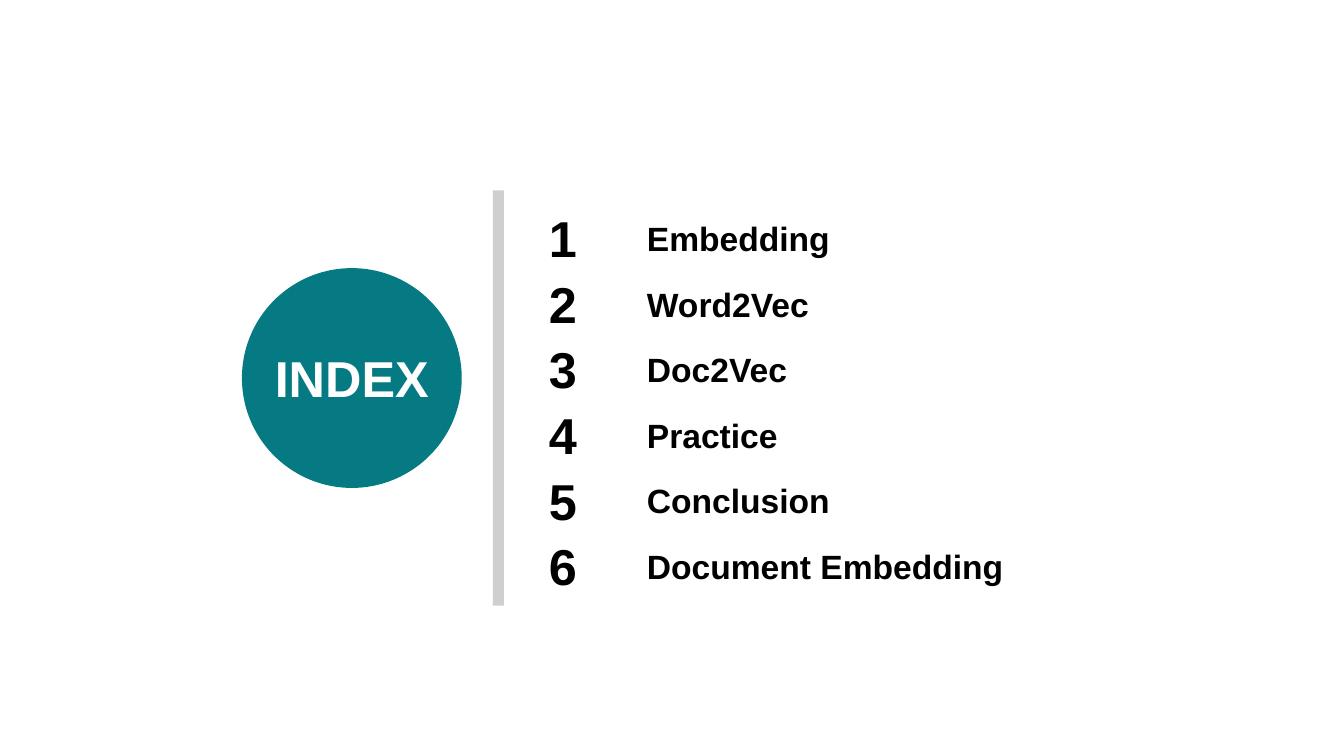
from dataclasses import dataclass

from pptx import Presentation
from pptx.dml.color import RGBColor
from pptx.enum.shapes import MSO_SHAPE as Preset
from pptx.enum.text import MSO_AUTO_SIZE as AutoSize, PP_ALIGN as Align
from pptx.util import Pt


@dataclass(frozen=True)
class Theme:
    font: str = "Arial"
    accent: str = "067A82"
    divider: str = "D0CECE"
    ink: str = "000000"
    paper: str = "FFFFFF"
    large: int = 36
    medium: int = 24


THEME = Theme()
TOPICS = [
    ("Embedding", 146),
    ("Word2Vec", 131),
    ("Doc2Vec", 116),
    ("Practice", 109),
    ("Conclusion", 146),
    ("Document Embedding", 271.5),
]


def add_text(shapes, text, box, size=THEME.medium, color=THEME.ink, align=Align.LEFT):
    frame = shapes.add_textbox(*map(Pt, box)).text_frame
    frame.word_wrap = False
    frame.auto_size = AutoSize.SHAPE_TO_FIT_TEXT
    paragraph = frame.paragraphs[0]
    paragraph.alignment = align
    run = paragraph.add_run()
    run.text = text
    run.font.name = THEME.font
    run.font.size = Pt(size)
    run.font.bold = True
    run.font.color.rgb = RGBColor.from_string(color)


def add_block(shapes, preset, box, color):
    shape = shapes.add_shape(preset, *map(Pt, box))
    shape.shadow.inherit = False
    shape.fill.solid()
    shape.fill.fore_color.rgb = RGBColor.from_string(color)
    shape.line.fill.background()


def add_badge(slide, left, top, diameter):
    add_block(slide.shapes, Preset.OVAL, (left, top, diameter, diameter), THEME.accent)
    width, height = 125.3, 51
    label_box = (left + (diameter - width) / 2, top + (diameter - height) / 2, width, height)
    add_text(slide.shapes, "INDEX", label_box, size=THEME.large,
             color=THEME.paper, align=Align.CENTER)


def add_divider(slide, left, top, width, height):
    add_block(slide.shapes, Preset.RECTANGLE, (left, top, width, height), THEME.divider)


def add_topics(slide, left, top, height):
    pitch = height / len(TOPICS)
    for index, (topic, width) in enumerate(TOPICS):
        row_top = top + index * pitch
        row = slide.shapes.add_group_shape().shapes
        add_text(row, str(index + 1), (left, row_top, 34.5, 51), size=THEME.large)
        add_text(row, topic, (left + 70, row_top + 7.4, width, 36))


def main():
    presentation = Presentation()
    presentation.slide_width = Pt(960)
    presentation.slide_height = Pt(540)
    slide = presentation.slides.add_slide(presentation.slide_layouts[6])
    add_badge(slide, 172.8, 191.5, 157)
    add_divider(slide, 352, 136, 8, 296.6)
    add_topics(slide, 385, 144.7, 280.8)
    presentation.save("out.pptx")


if __name__ == "__main__":
    main()
